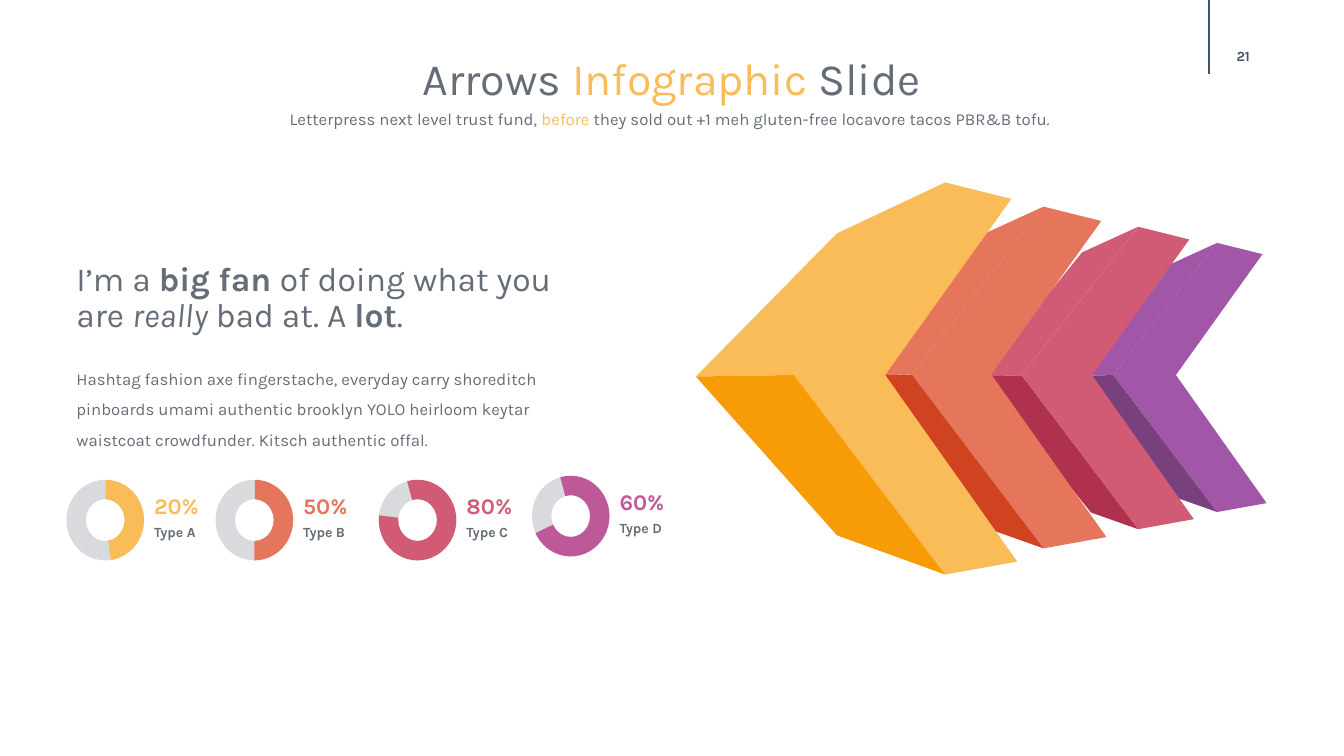
from dataclasses import dataclass
from typing import Optional

from lxml.etree import SubElement
from pptx import Presentation
from pptx.dml.color import RGBColor
from pptx.enum.shapes import MSO_CONNECTOR as CONN, MSO_SHAPE as SHAPE
from pptx.enum.text import MSO_ANCHOR as ANCHOR, PP_ALIGN as ALIGN
from pptx.oxml.ns import qn
from pptx.util import Emu, Inches, Pt

# Grid of square cells, ten to the inch
COLS, ROWS = 133.4, 75
CELL = Inches(0.1)


@dataclass(frozen=True)
class Theme:
    font: str = "Karla"
    text: str = "656D78"
    number: str = "44546A"
    track: str = "D8DADD"
    yellow: str = "FABC59"
    amber: str = "F79B07"
    orange: str = "E5765B"
    rust: str = "CF4321"
    rose: str = "D15B75"
    wine: str = "B0314D"
    violet: str = "A156A8"
    plum: str = "79407E"
    magenta: str = "BD5999"
    title: int = 32
    quote: int = 24
    percent: int = 16
    body: int = 12
    small: int = 10


T = Theme()
Point = tuple[float, float]


@dataclass(frozen=True)
class Run:
    text: str
    color: Optional[str] = None
    bold: Optional[bool] = None
    italic: Optional[bool] = None


@dataclass(frozen=True)
class Block:
    x: float
    y: float
    w: float
    h: float
    runs: tuple[Run, ...]
    size: int
    color: str = T.text
    bold: bool = False
    align: ALIGN = ALIGN.LEFT
    spacing: float = 1.0
    inset: bool = True
    wrap: bool = True
    anchor: ANCHOR = ANCHOR.TOP


@dataclass(frozen=True)
class Arrow:
    """Fold and top in cells; side points as shares of the height."""
    fold: float
    top: float
    height: float
    face: str
    shade: str
    tip: float = -0.13
    upper: Point = (0.2, 0.085)
    lower: Point = (0.23, 0.945)


@dataclass(frozen=True)
class Ring:
    x: float
    y: float
    percent: str
    label: str
    color: str
    start: float  # degrees clockwise from the right
    end: float


BLOCKS = [
    Block(119.4, 3.6, 8, 4, (Run("21"),), T.small, T.number, True, ALIGN.CENTER,
          inset=False, anchor=ANCHOR.MIDDLE),
    Block(25.4, 4.5, 82.6, 6.4,
          (Run("Arrows "), Run("Infographic ", T.yellow), Run("Slide")),
          T.title, align=ALIGN.CENTER),
    Block(25.9, 10.3, 81.2, 3,
          (Run("Letterpress next level trust fund, "), Run("before", T.yellow),
           Run(" they sold out +1 meh gluten-free locavore tacos PBR&B tofu.")),
          T.body, align=ALIGN.CENTER, wrap=False),
    Block(6.6, 25.5, 54.5, 8.2,
          (Run("I’m a "), Run("big fan ", bold=True), Run("of doing what you are "),
           Run("really", italic=True), Run(" bad at. A "), Run("lot", bold=True), Run(".")),
          T.quote, spacing=0.9),
    Block(6.6, 35.1, 53.2, 10,
          (Run("Hashtag fashion axe fingerstache, everyday carry shoreditch pinboards umami "
               "authentic brooklyn YOLO heirloom keytar waistcoat crowdfunder. "
               "Kitsch authentic offal."),),
          T.body, spacing=1.5),
]

ARROWS = [
    Arrow(110.5, 24.1, 26.7, T.violet, T.plum),
    Arrow(101.4, 22.5, 30, T.rose, T.wine),
    Arrow(90.5, 20.5, 33.9, T.orange, T.rust),
    Arrow(78.8, 18.1, 38.9, T.yellow, T.amber, -0.25, (0.11, 0.13), (0.11, 0.9)),
]

RING_W, RING_H = 7.7, 8
RINGS = [
    Ring(52.8, 47.2, "60%", "Type D", T.magenta, 255, 154),
    Ring(6.6, 47.6, "20%", "Type A", T.yellow, 271, 82),
    Ring(21.4, 47.6, "50%", "Type B", T.orange, 271, 90),
    Ring(37.6, 47.6, "80%", "Type C", T.rose, 255, 187),
]


def cells(n: float) -> Emu:
    return Emu(round(n * CELL))


def paint(sp, color: str) -> None:
    sp.shadow.inherit = False
    sp.fill.solid()
    sp.fill.fore_color.rgb = RGBColor.from_string(color)
    sp.line.fill.background()


def add_text(shapes, b: Block) -> None:
    tf = shapes.add_textbox(*map(cells, (b.x, b.y, b.w, b.h))).text_frame
    tf.word_wrap = b.wrap
    tf.vertical_anchor = b.anchor
    if not b.inset:
        tf.margin_left = tf.margin_right = tf.margin_top = tf.margin_bottom = 0
    p = tf.paragraphs[0]
    p.alignment = b.align
    p.line_spacing = b.spacing
    p.font.name, p.font.size, p.font.bold = T.font, Pt(b.size), b.bold
    p.font.color.rgb = RGBColor.from_string(b.color)
    for run in b.runs:
        r = p.add_run()
        r.text = run.text
        r.font.bold, r.font.italic = run.bold, run.italic
        if run.color:
            r.font.color.rgb = RGBColor.from_string(run.color)


def add_arrow(shapes, a: Arrow) -> None:
    peak, fold, foot = (0.386, 0), (0, 0.491), (0.386, 1)
    foot_end, notch, peak_end = (0.57, 0.967), (0.233, 0.491), (0.555, 0.042)
    tip = (a.tip, 0.495)
    faces = [
        ((peak, fold, foot, foot_end, notch, peak_end), a.face),
        ((peak, a.upper, tip, fold), a.face),
        ((tip, a.lower, foot, fold), a.shade),
    ]
    for outline, color in faces:
        pts = [(cells(a.fold + x * a.height), cells(a.top + y * a.height))
               for x, y in outline]
        fb = shapes.build_freeform(*pts[0])
        fb.add_line_segments(pts[1:], close=True)
        paint(fb.convert_to_shape(), color)


def add_ring(shapes, ring: Ring) -> None:
    box = [cells(n) for n in (ring.x, ring.y, RING_W, RING_H)]
    track = shapes.add_shape(SHAPE.DONUT, *box)
    track.adjustments[0] = 0.25
    paint(track, T.track)
    arc = shapes.add_shape(SHAPE.BLOCK_ARC, *box)
    for i, value in enumerate((ring.start * 0.6, ring.end * 0.6, 0.25)):
        arc.adjustments[i] = value
    paint(arc, ring.color)
    x, y = ring.x + RING_W + 1, ring.y + 1.5
    add_text(shapes, Block(x, y, 4.9, 2.9, (Run(ring.percent),), T.percent, ring.color,
                           True, spacing=0.9, inset=False))
    add_text(shapes, Block(x, y + 3, 4.9, 2.3, (Run(ring.label),), T.small,
                           bold=True, spacing=0.9, inset=False))


def main() -> None:
    prs = Presentation()
    prs.slide_width, prs.slide_height = cells(COLS), cells(ROWS)
    shapes = prs.slides.add_slide(prs.slide_layouts[6]).shapes

    # Rule beside the slide number
    rule = shapes.add_connector(CONN.STRAIGHT, *map(cells, (120, 0, 120, 7.3)))
    rule.line.color.rgb = RGBColor.from_string(T.number)
    rule.line.width = Pt(1)
    SubElement(rule._element.spPr, qn("a:effectLst"))

    # Arrows from back to front, then texts and rings
    for arrow in ARROWS:
        add_arrow(shapes, arrow)
    for block in BLOCKS:
        add_text(shapes, block)
    for ring in RINGS:
        add_ring(shapes, ring)

    prs.save("out.pptx")


if __name__ == "__main__":
    main()
